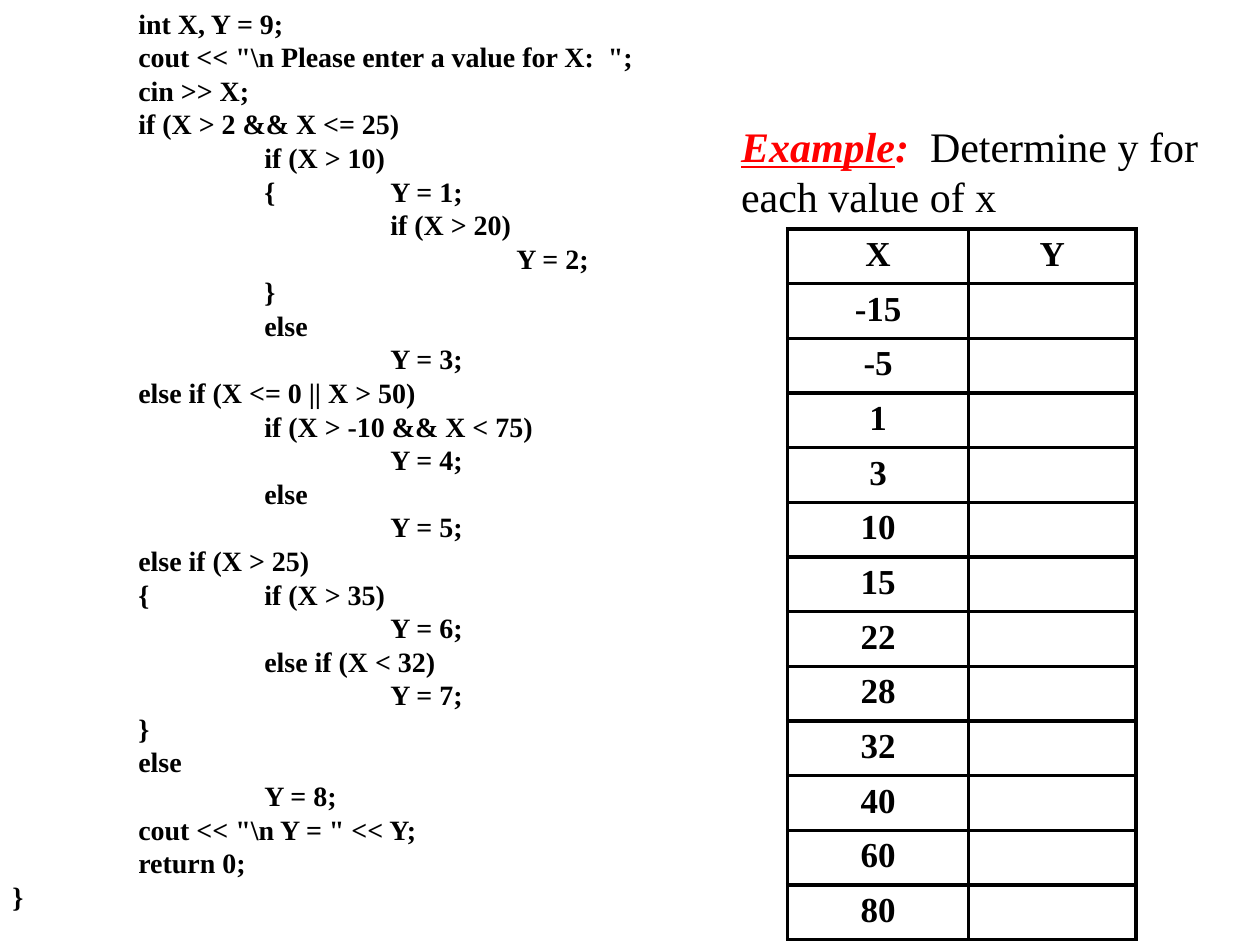
from lxml.etree import SubElement
from pptx import Presentation
from pptx.dml.color import RGBColor
from pptx.enum.text import MSO_AUTO_SIZE as AutoSize, PP_ALIGN as Align
from pptx.oxml.ns import qn
from pptx.util import Pt

BLACK = RGBColor(0x00, 0x00, 0x00)
RED = RGBColor(0xFF, 0x00, 0x00)
FONT = "Times New Roman"

CODE = r"""
	int X, Y = 9;
	cout << "\n Please enter a value for X:  ";
	cin >> X;
	if (X > 2 && X <= 25)
		if (X > 10)
		{	Y = 1;
			if (X > 20)
				Y = 2;
		}
		else
			Y = 3;
	else if (X <= 0 || X > 50)
		if (X > -10 && X < 75)
			Y = 4;
		else
			Y = 5;
	else if (X > 25)
	{	if (X > 35)
			Y = 6;
		else if (X < 32)
			Y = 7;
	}
	else
		Y = 8;
	cout << "\n Y = " << Y;
	return 0;
}
"""
X_VALUES = [-15, -5, 1, 3, 10, 15, 22, 28, 32, 40, 60, 80]


def add_text(paragraph, text, size, color=BLACK, bold=False, italic=False, underline=False):
    run = paragraph.add_run()
    run.text = text
    font = run.font
    font.name, font.size = FONT, Pt(size)
    font.bold, font.italic, font.underline = bold, italic, underline
    font.color.rgb = color


def add_frame(slide, left, top, width, height):
    frame = slide.shapes.add_textbox(Pt(left), Pt(top), Pt(width), Pt(height)).text_frame
    frame.word_wrap = True
    frame.auto_size = AutoSize.SHAPE_TO_FIT_TEXT
    return frame


def add_tabs(paragraph, count, step):
    tabs = SubElement(paragraph._p.get_or_add_pPr(), qn("a:tabLst"))
    for number in range(1, count + 1):
        SubElement(tabs, qn("a:tab"), pos=str(Pt(number * step)), algn="l")


def add_code(slide, left, top, width, height):
    frame = add_frame(slide, left, top, width, height)
    for index, line in enumerate(CODE.strip("\n").split("\n")):
        paragraph = frame.add_paragraph() if index else frame.paragraphs[0]
        add_tabs(paragraph, 4, 72)
        add_text(paragraph, line, 16, bold=True)


def add_task(slide, left, top, width, height):
    paragraph = add_frame(slide, left, top, width, height).paragraphs[0]
    add_text(paragraph, "Example", 24, RED, bold=True, italic=True, underline=True)
    add_text(paragraph, ":", 24, RED, bold=True, italic=True)
    add_text(paragraph, "  Determine y for each value of x", 24)


def add_borders(cell, width):
    properties = cell._tc.get_or_add_tcPr()
    for side in ("a:lnL", "a:lnR", "a:lnT", "a:lnB"):
        border = SubElement(properties, qn(side), w=str(Pt(width)))
        fill = SubElement(border, qn("a:solidFill"))
        SubElement(fill, qn("a:srgbClr"), val=str(BLACK))


def add_answers(slide, left, top, width, height):
    rows = [("X", "Y")] + [(str(x), "") for x in X_VALUES]
    answers = slide.shapes.add_table(
        len(rows), 2, Pt(left), Pt(top), Pt(width), Pt(height)).table
    answers.first_row = answers.horz_banding = False
    x_width = 0.52 * width
    answers.columns[0].width = Pt(x_width)
    answers.columns[1].width = Pt(width - x_width)
    for row_index, row in enumerate(rows):
        answers.rows[row_index].height = Pt(height / len(rows))
        for column_index, value in enumerate(row):
            cell = answers.cell(row_index, column_index)
            add_borders(cell, 2.25)
            cell.fill.background()
            if value:
                paragraph = cell.text_frame.paragraphs[0]
                paragraph.alignment = Align.CENTER
                add_text(paragraph, value, 20, bold=True)


def main():
    deck = Presentation()
    deck.slide_width, deck.slide_height = Pt(720), Pt(540)
    slide = deck.slides.add_slide(deck.slide_layouts[6])
    add_code(slide, 0, 0, 416, 540)
    add_task(slide, 416.4, 65.2, 288, 65.5)
    add_answers(slide, 450, 130.8, 199.2, 405.6)
    deck.save("out.pptx")


if __name__ == "__main__":
    main()
